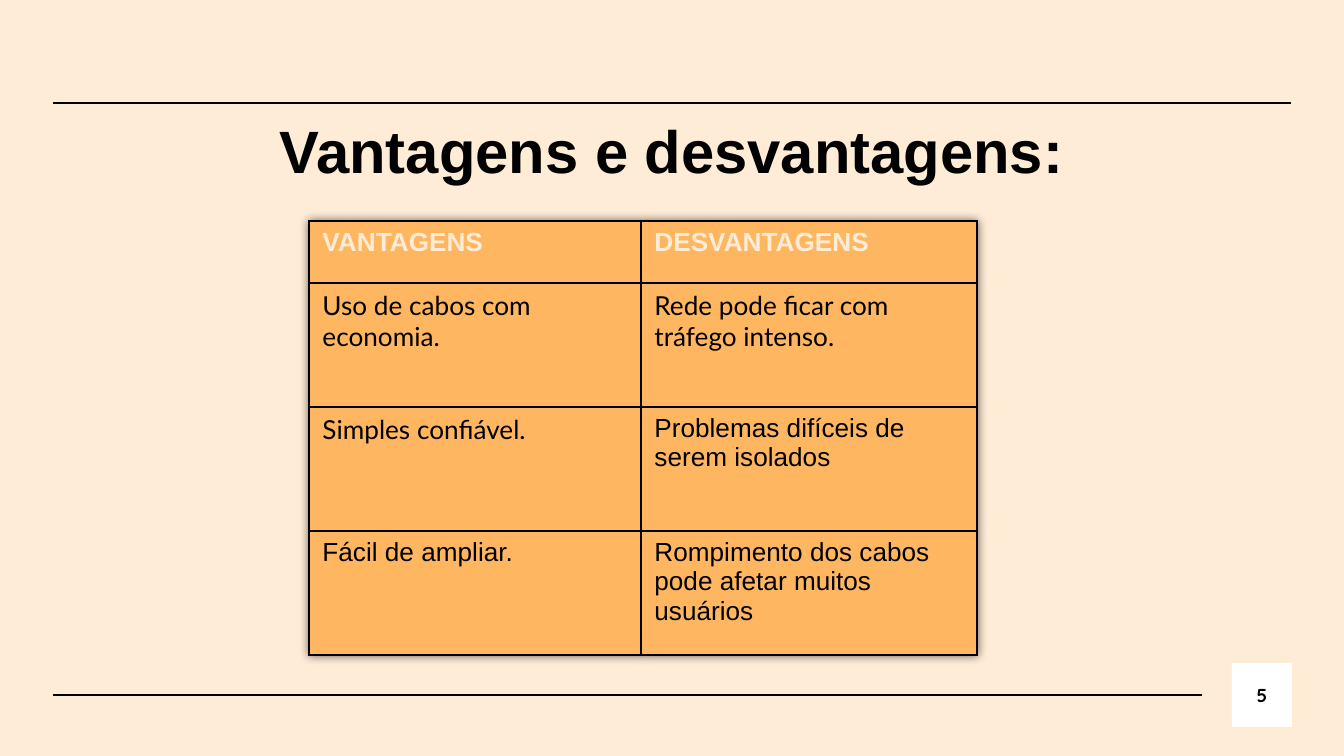
from dataclasses import dataclass

from lxml.etree import SubElement
from pptx import Presentation
from pptx.dml.color import RGBColor
from pptx.enum.shapes import MSO_CONNECTOR, MSO_SHAPE
from pptx.enum.text import MSO_ANCHOR, PP_ALIGN
from pptx.oxml import parse_xml
from pptx.oxml.ns import nsdecls, qn
from pptx.util import Emu, Pt

EMU_PER_PX = 914400 / 134.4
COLORS = {
    "background": "FFECD6",
    "cell": "FFB661",
    "ink": "000000",
    "badge": "FFFFFF",
}


@dataclass(frozen=True)
class Style:
    font: str
    size: int
    color: str = "ink"
    bold: bool = False


@dataclass(frozen=True)
class Rule:
    left: int
    right: int
    y: int


@dataclass(frozen=True)
class Entry:
    text: str
    style: Style


TITLE = Style("Arial", 32, bold=True)
NUMBER = Style("Quicksand", 10, bold=True)
HEADER = Style("Arial", 14, "background", True)
ARIAL = Style("Arial", 14)
LATO = Style("Lato", 14)

RULES = [Rule(53, 1291, 103), Rule(53, 1202, 695)]
COLUMN_WIDTHS = [332, 336]
ROW_HEIGHTS = [62, 124, 124, 124]
ROWS = [
    [Entry("VANTAGENS", HEADER), Entry("DESVANTAGENS", HEADER)],
    [Entry("Uso de cabos com economia.", LATO),
     Entry("Rede pode ficar com tráfego intenso.", LATO)],
    [Entry("Simples confiável.", LATO),
     Entry("Problemas difíceis de serem isolados", ARIAL)],
    [Entry("Fácil de ampliar.", ARIAL),
     Entry("Rompimento dos cabos pode afetar muitos usuários", ARIAL)],
]


def px(n: int) -> Emu:
    return Emu(round(n * EMU_PER_PX))


def rgb(name: str) -> RGBColor:
    return RGBColor.from_string(COLORS[name])


def paint(target, color: str) -> None:
    target.fill.solid()
    target.fill.fore_color.rgb = rgb(color)


def write(tf, text: str, style: Style, align: PP_ALIGN = PP_ALIGN.LEFT) -> None:
    tf.text = text
    tf.word_wrap = True
    p = tf.paragraphs[0]
    p.alignment = align
    font = p.runs[0].font
    font.name, font.size, font.bold = style.font, Pt(style.size), style.bold
    font.color.rgb = rgb(style.color)


def set_insets(tf, inset: int) -> None:
    tf.margin_left = tf.margin_right = tf.margin_top = tf.margin_bottom = px(inset)


def add_rule(s, rule: Rule) -> None:
    line = s.shapes.add_connector(MSO_CONNECTOR.STRAIGHT, px(rule.left),
                                  px(rule.y), px(rule.right), px(rule.y))
    line.line.color.rgb = rgb("ink")
    line.line.width = Pt(0.75)
    SubElement(line._element.spPr, qn("a:effectLst"))


def add_title(s, text: str) -> None:
    sp = s.shapes.title
    sp.left, sp.top, sp.width, sp.height = px(254), px(101), px(836), px(85)
    write(sp.text_frame, text, TITLE, PP_ALIGN.CENTER)
    sp.text_frame.vertical_anchor = MSO_ANCHOR.TOP
    set_insets(sp.text_frame, 13)


def add_page_number(s, number: int) -> None:
    sp = s.shapes.add_shape(MSO_SHAPE.RECTANGLE, px(1232), px(663), px(60), px(64))
    sp.shadow.inherit = False
    paint(sp, "badge")
    sp.line.fill.background()
    write(sp.text_frame, str(number), NUMBER, PP_ALIGN.CENTER)
    sp.text_frame.vertical_anchor = MSO_ANCHOR.MIDDLE
    set_insets(sp.text_frame, 13)


def set_borders(cell) -> None:
    tcPr = cell._tc.get_or_add_tcPr()
    for i, side in enumerate(("lnL", "lnR", "lnT", "lnB")):
        tcPr.insert(i, parse_xml(
            f'<a:{side} {nsdecls("a")} w="{Pt(1)}"><a:solidFill>'
            f'<a:srgbClr val="{COLORS["ink"]}"/></a:solidFill></a:{side}>'))


def add_shadow(table) -> None:
    table._tbl.tblPr.insert(0, parse_xml(
        f'<a:effectLst {nsdecls("a")}>'
        f'<a:outerShdw blurRad="{px(10)}" algn="ctr" rotWithShape="0">'
        f'<a:srgbClr val="{COLORS["ink"]}"><a:alpha val="60000"/></a:srgbClr>'
        '</a:outerShdw></a:effectLst>'))


def add_comparison(s) -> None:
    table = s.shapes.add_table(len(ROWS), len(COLUMN_WIDTHS), px(309), px(221),
                               px(sum(COLUMN_WIDTHS)), px(sum(ROW_HEIGHTS))).table
    for column, width in zip(table.columns, COLUMN_WIDTHS):
        column.width = px(width)
    for row, height, entries in zip(table.rows, ROW_HEIGHTS, ROWS):
        row.height = px(height)
        for cell, entry in zip(row.cells, entries):
            write(cell.text_frame, entry.text, entry.style)
            paint(cell, "cell")
            set_borders(cell)
    add_shadow(table)


def main() -> None:
    prs = Presentation()
    prs.slide_width, prs.slide_height = px(1344), px(756)
    s = prs.slides.add_slide(prs.slide_layouts[5])
    paint(s.background, "background")
    for rule in RULES:
        add_rule(s, rule)
    add_page_number(s, 5)
    add_title(s, "Vantagens e desvantagens:")
    add_comparison(s)
    prs.save("out.pptx")


if __name__ == "__main__":
    main()
